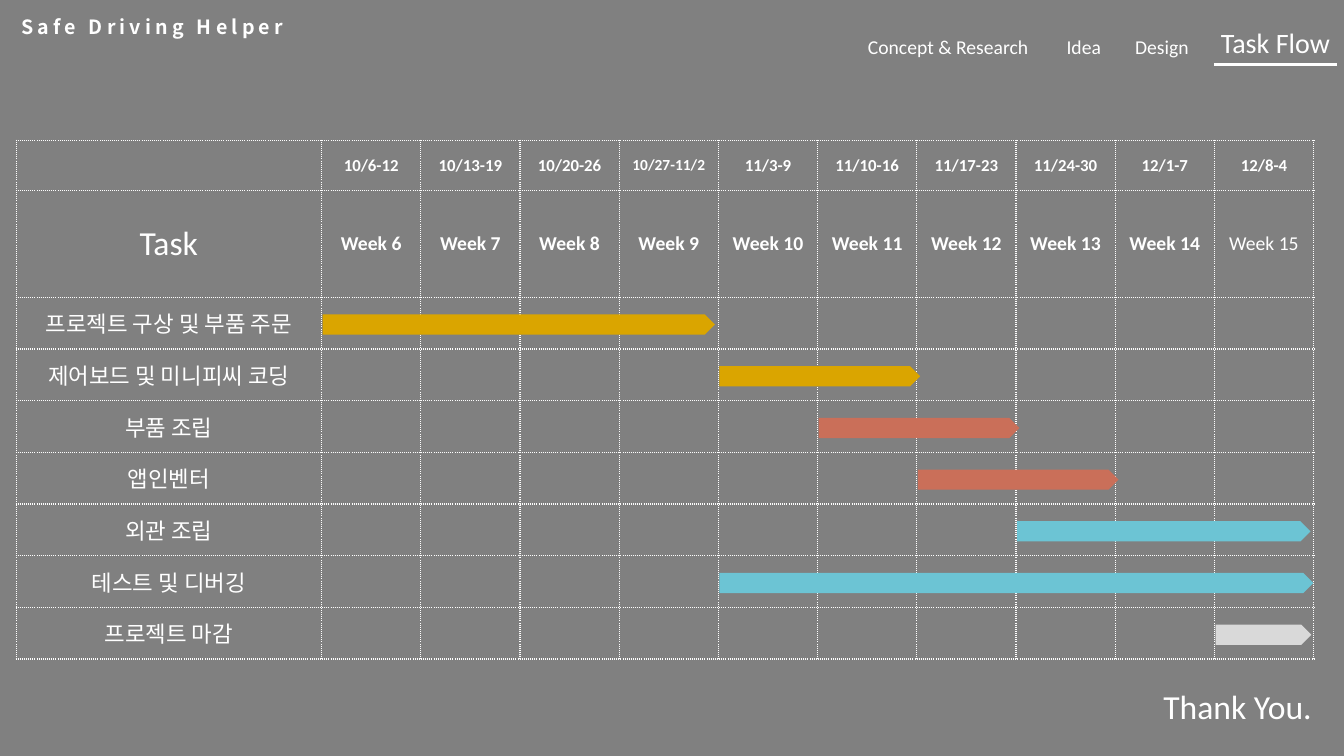
"""Build the task flow slide: a weekly schedule table with Gantt bars."""
from lxml import etree
from pptx import Presentation
from pptx.dml.color import RGBColor
from pptx.enum.shapes import MSO_CONNECTOR, MSO_SHAPE
from pptx.enum.text import MSO_ANCHOR, PP_ALIGN
from pptx.oxml import parse_xml
from pptx.oxml.ns import nsdecls, qn
from pptx.util import Inches, Pt

CENTER, LEFT = PP_ALIGN.CENTER, PP_ALIGN.LEFT
MIDDLE = MSO_ANCHOR.MIDDLE
PENTAGON = MSO_SHAPE.PENTAGON
STRAIGHT = MSO_CONNECTOR.STRAIGHT
WHITE = "FFFFFF"
LATIN, KOREAN = "Calibri", "Noto Sans CJK KR"


def color(value):
    return RGBColor.from_string(value)


def write(frame, text, size, align, bold=False, font=LATIN):
    paragraph = frame.paragraphs[0]
    paragraph.alignment = align
    run = paragraph.add_run()
    run.text = text
    run.font.size = Pt(size)
    run.font.bold = bold
    run.font.name = font
    run.font.color.rgb = color(WHITE)
    east_asian = etree.SubElement(run.font._element, qn("a:ea"))
    east_asian.set("typeface", KOREAN)
    return run


prs = Presentation()
prs.slide_width, prs.slide_height = Inches(13.33), Inches(7.5)
slide = prs.slides.add_slide(prs.slide_layouts[6])
slide.background.fill.solid()
slide.background.fill.fore_color.rgb = color("808080")

title = slide.shapes.add_textbox(Inches(0), Inches(0.1), Inches(3.02), Inches(0.34))
title.text_frame.word_wrap = True
title_run = write(title.text_frame, "Safe Driving Helper", 14, CENTER, True, KOREAN)
title_run.font._element.set("spc", "300")

dates = ["10/6-12", "10/13-19", "10/20-26", "10/27-11/2", "11/3-9",
         "11/10-16", "11/17-23", "11/24-30", "12/1-7", "12/8-4"]
FIRST_WEEK, LAST_WEEK = 6, 15
GOLD, CORAL, SKY, SILVER = "DAA500", "CA6F59", "6CC4D4", "D9D9D9"
tasks = [
    ("프로젝트 구상 및 부품 주문", 6, 3.89, GOLD),
    ("제어보드 및 미니피씨 코딩", 10, 1.99, GOLD),
    ("부품 조립", 11, 1.99, CORAL),
    ("앱인벤터", 12, 1.99, CORAL),
    ("외관 조립", 13, 2.91, SKY),
    ("테스트 및 디버깅", 10, 5.89, SKY),
    ("프로젝트 마감", 15, 0.95, SILVER),
]

table_left, table_top, table_width, table_height = 0.16, 1.39, 12.87, 5.15
task_width, date_height, week_height = 3.03, 0.5, 1.06
week_width = (table_width - task_width) / len(dates)
task_height = (table_height - date_height - week_height) / len(tasks)

schedule = slide.shapes.add_table(
    len(tasks) + 2, len(dates) + 1, Inches(table_left), Inches(table_top),
    Inches(table_width), Inches(table_height)).table
schedule.first_row = schedule.horz_banding = False
for index, column in enumerate(schedule.columns):
    column.width = Inches(week_width if index else task_width)
for row, height in zip(schedule.rows, [date_height, week_height] + [task_height] * len(tasks)):
    row.height = Inches(height)

for cell in schedule.iter_cells():
    cell.vertical_anchor = MIDDLE
    properties = cell._tc.get_or_add_tcPr()
    for side in ("lnL", "lnR", "lnT", "lnB"):
        properties.append(parse_xml(
            f'<a:{side} {nsdecls("a")} w="12700"><a:solidFill><a:srgbClr val="{WHITE}"/>'
            f'</a:solidFill><a:prstDash val="sysDot"/></a:{side}>'))
    cell.fill.background()

write(schedule.cell(1, 0).text_frame, "Task", 24, CENTER)
for index, date in enumerate(dates):
    week = FIRST_WEEK + index
    date_size = 11 if len(date) > 8 else 12
    write(schedule.cell(0, index + 1).text_frame, date, date_size, CENTER, True)
    write(schedule.cell(1, index + 1).text_frame, f"Week {week}", 14, CENTER, week != LAST_WEEK)

for index, (task, start_week, bar_width, bar_color) in enumerate(tasks):
    write(schedule.cell(index + 2, 0).text_frame, task, 16, CENTER)
    bar_left = table_left + task_width + (start_week - FIRST_WEEK) * week_width + 0.01
    bar_top = table_top + date_height + week_height + index * task_height + 0.17
    bar = slide.shapes.add_shape(
        PENTAGON, Inches(bar_left), Inches(bar_top), Inches(bar_width), Inches(0.2))
    bar.shadow.inherit = False
    bar.fill.solid()
    bar.fill.fore_color.rgb = color(bar_color)
    bar.line.fill.background()

labels = [
    ("Concept & Research", 8.51, 0.3, 1.83, 0.34, 14),
    ("Idea", 10.48, 0.3, 0.55, 0.34, 14),
    ("Design", 11.16, 0.3, 0.74, 0.34, 14),
    ("Task Flow", 12.01, 0.2, 1.29, 0.44, 20),
    ("Thank You.", 11.44, 6.76, 1.73, 0.5, 24),
]
for text, left, top, width, height, size in labels:
    label = slide.shapes.add_textbox(Inches(left), Inches(top), Inches(width), Inches(height))
    label.text_frame.word_wrap = False
    write(label.text_frame, text, size, LEFT)

underline = slide.shapes.add_connector(
    STRAIGHT, Inches(12.04), Inches(0.64), Inches(13.26), Inches(0.64))
underline.line.color.rgb = color(WHITE)
underline.line.width = Pt(2.5)
etree.SubElement(underline._element.spPr, qn("a:effectLst"))

prs.save("out.pptx")
